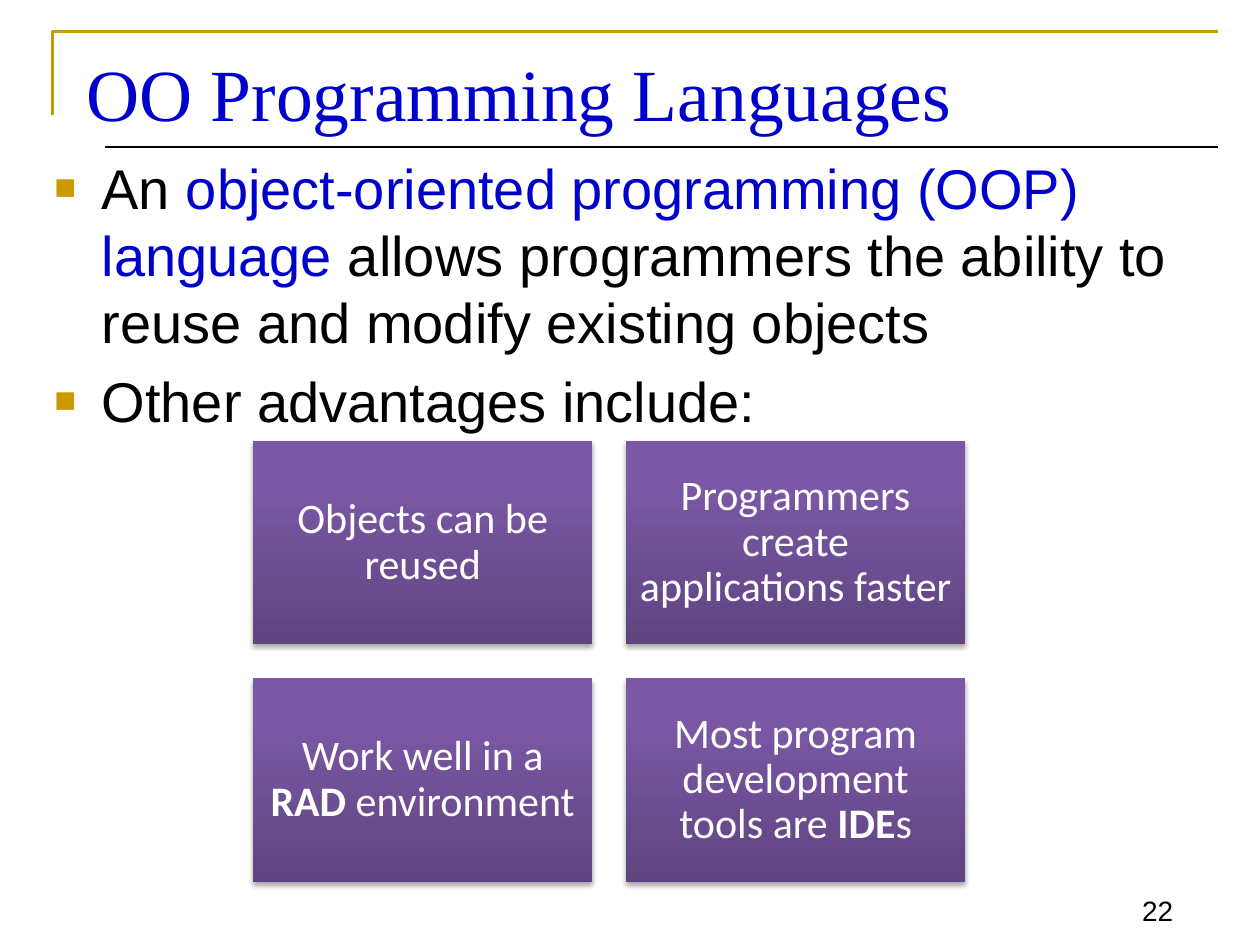
import copy

import pptx
import pptx.dml.color
import pptx.enum.shapes
import pptx.enum.text
import pptx.oxml
import pptx.oxml.ns
import pptx.util

Pt = pptx.util.Pt
ALIGN = pptx.enum.text.PP_ALIGN
ANCHOR = pptx.enum.text.MSO_ANCHOR
SHAPES = pptx.enum.shapes

COLORS = {
    "gold": "CC9900",
    "blue": "0000CC",
    "black": "000000",
    "white": "FFFFFF",
    "tile_bottom": "5F4480",
    "tile_middle": "7B58A6",
    "tile_top": "7C57A8",
}

ADVANTAGES = [
    [("Objects can be reused", False)],
    [("Programmers create applications faster", False)],
    [("Work well in a ", False), ("RAD", True), (" environment", False)],
    [("Most program development tools are ", False), ("IDE", True), ("s", False)],
]

POINTS = [
    [
        ("An ", "black"),
        ("object-oriented programming (OOP) language ", "blue"),
        ("allows programmers the ability to reuse and modify existing objects", "black"),
    ],
    [("Other advantages include:", "black")],
]


def rgb(name):
    """Return the named palette colour."""
    return pptx.dml.color.RGBColor.from_string(COLORS[name])


def drawing_xml(markup):
    """Parse one DrawingML element that uses the a: prefix."""
    tag, rest = markup[1:].split(" ", 1)
    return pptx.oxml.parse_xml(f"<{tag} {pptx.oxml.ns.nsdecls('a')} {rest}")


def add_run(paragraph, text, font, size, color, bold=False):
    """Add one formatted run to a paragraph."""
    run = paragraph.add_run()
    run.text = text
    run.font.name = font
    run.font.size = Pt(size)
    run.font.bold = bold
    run.font.color.rgb = rgb(color)


def add_header_lines(slide, left, top, right, bottom):
    """Draw the gold corner and the thin rule under the title."""
    builder = slide.shapes.build_freeform(Pt(left), Pt(bottom - 18))
    builder.add_line_segments(
        [(Pt(left), Pt(top)), (Pt(right), Pt(top))], close=False
    )
    corner = builder.convert_to_shape()
    corner.fill.background()
    corner.line.color.rgb = rgb("gold")
    corner.line.width = Pt(1.5)
    corner.shadow.inherit = False

    rule = slide.shapes.add_connector(
        SHAPES.MSO_CONNECTOR.STRAIGHT, Pt(left + 30), Pt(bottom), Pt(right), Pt(bottom)
    )
    rule.line.color.rgb = rgb("black")
    rule.line.width = Pt(0.75)
    rule._element.spPr.append(drawing_xml("<a:effectLst />"))


def place_title(slide, left, top, width, height):
    """Move and format the title placeholder."""
    title = slide.shapes.title
    title.left, title.top, title.width, title.height = map(Pt, (left, top, width, height))
    frame = title.text_frame
    frame.auto_size = pptx.enum.text.MSO_AUTO_SIZE.NONE
    frame.vertical_anchor = ANCHOR.TOP
    frame.margin_top = frame.margin_bottom = Pt(3.6)
    heading = frame.paragraphs[0]
    heading.alignment = ALIGN.LEFT
    add_run(heading, "OO Programming Languages", "Times New Roman", 42, "blue")


def add_points(slide, left, top, width, height):
    """Write the bulleted points."""
    frame = slide.shapes.add_textbox(*map(Pt, (left, top, width, height))).text_frame
    frame.word_wrap = True
    for index, parts in enumerate(POINTS):
        point = frame.paragraphs[0] if index == 0 else frame.add_paragraph()
        if index:
            point.space_before = Pt(6.4)
        properties = point._p.get_or_add_pPr()
        properties.set("marL", str(Pt(27)))
        properties.set("indent", str(-Pt(27)))
        for markup in (
            f'<a:buClr ><a:srgbClr val="{COLORS["gold"]}"/></a:buClr>',
            '<a:buSzPct val="65000"/>',
            '<a:buFont typeface="Arial"/>',
            '<a:buChar char="■"/>',
        ):
            properties.append(drawing_xml(markup))
        for text, color in parts:
            add_run(point, text, "Arial", 32, color)


def add_tile(slide, parts, left, top, width, height):
    """Draw one gradient tile with its centred text."""
    tile = slide.shapes.add_shape(
        SHAPES.MSO_SHAPE.RECTANGLE, *map(Pt, (left, top, width, height))
    )
    tile.line.fill.background()
    tile.fill.gradient()
    tile.fill.gradient_angle = 90
    stop_list = tile._element.spPr.find(".//" + pptx.oxml.ns.qn("a:gsLst"))
    stop_list.append(copy.deepcopy(stop_list[-1]))
    shades = [(0, "tile_bottom"), (0.8, "tile_middle"), (1, "tile_top")]
    for stop, (position, color) in zip(tile.fill.gradient_stops, shades):
        stop.position = position
        stop.color.rgb = rgb(color)
    tile.shadow.inherit = False
    tile._element.spPr.find(pptx.oxml.ns.qn("a:effectLst")).append(drawing_xml(
        f'<a:outerShdw blurRad="{Pt(3.1)}" dist="{Pt(1.8)}" dir="5400000" rotWithShape="0">'
        f'<a:srgbClr val="{COLORS["black"]}"><a:alpha val="35000"/></a:srgbClr></a:outerShdw>'
    ))

    frame = tile.text_frame
    frame.word_wrap = True
    frame.vertical_anchor = ANCHOR.MIDDLE
    frame.margin_left = frame.margin_right = Pt(7.2)
    frame.margin_top = frame.margin_bottom = Pt(7.2)
    advantage = frame.paragraphs[0]
    advantage.alignment = ALIGN.CENTER
    advantage.line_spacing = 0.9
    for text, bold in parts:
        add_run(advantage, text, "Calibri", 24, "white", bold)


def add_advantages(slide, left, top, width, height, gap=19.4, columns=2):
    """Lay out the advantage tiles in an even grid."""
    rows = len(ADVANTAGES) // columns
    tile_width = (width - gap * (columns - 1)) / columns
    tile_height = (height - gap * (rows - 1)) / rows
    for index, parts in enumerate(ADVANTAGES):
        row, column = divmod(index, columns)
        add_tile(
            slide, parts,
            left + column * (tile_width + gap), top + row * (tile_height + gap),
            tile_width, tile_height,
        )


def add_page_number(slide, left, top, width, height):
    """Write the page number at the lower right."""
    frame = slide.shapes.add_textbox(*map(Pt, (left, top, width, height))).text_frame
    frame.word_wrap = True
    frame.vertical_anchor = ANCHOR.BOTTOM
    number = frame.paragraphs[0]
    number.alignment = ALIGN.RIGHT
    add_run(number, "22", "Arial", 16, "black")


def main():
    """Build the slide and save it."""
    deck = pptx.Presentation()
    deck.slide_width, deck.slide_height = Pt(720), Pt(540)
    slide = deck.slides.add_slide(deck.slide_layouts[5])
    add_header_lines(slide, 30, 18, 696, 84)
    add_page_number(slide, 630, 498, 47.5, 35.3)
    place_title(slide, 42, 24, 654, 54)
    add_points(slide, 24, 84, 672, 168)
    add_advantages(slide, 144.7, 252, 406.8, 251.8)
    deck.save("out.pptx")


if __name__ == "__main__":
    main()
